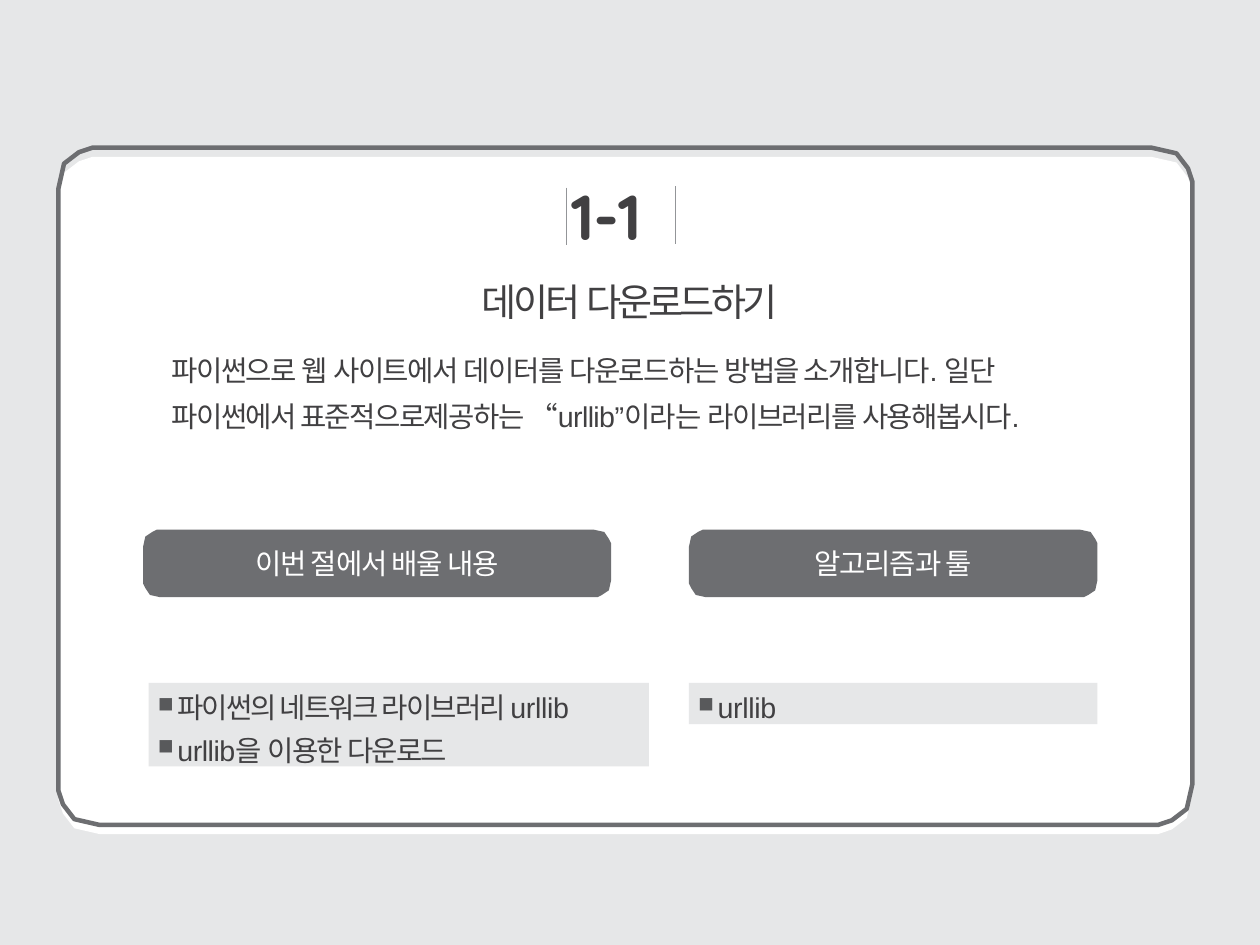
from dataclasses import dataclass

from lxml import etree
from pptx import Presentation
from pptx.dml.color import RGBColor
from pptx.enum.shapes import MSO_CONNECTOR, MSO_SHAPE
from pptx.enum.text import MSO_ANCHOR, MSO_AUTO_SIZE, PP_ALIGN
from pptx.oxml.ns import qn
from pptx.util import Pt

PX = 9144
RECTANGLE = MSO_SHAPE.RECTANGLE
STRAIGHT = MSO_CONNECTOR.STRAIGHT
LEFT, CENTER = PP_ALIGN.LEFT, PP_ALIGN.CENTER
TOP, MIDDLE = MSO_ANCHOR.TOP, MSO_ANCHOR.MIDDLE
NO_AUTOFIT = MSO_AUTO_SIZE.NONE

PALE, WHITE, SLATE = "E6E7E8", "FFFFFF", "6D6E71"
INK, BULLET, RULE = "414042", "58595B", "939598"
CORNER = ((1, 0), (0.83, 0), (0.5, 0.11), (0.14, 0.39), (0, 1))


@dataclass(frozen=True)
class Box:
    left: int
    top: int
    width: int
    height: int

    def emu(self) -> tuple:
        return tuple(value * PX for value in (self.left, self.top, self.width, self.height))


@dataclass(frozen=True)
class Run:
    text: str
    spacing: int


@dataclass(frozen=True)
class Style:
    font: str
    size: int
    color: str = INK
    bold: bool = False
    align: PP_ALIGN = LEFT


@dataclass(frozen=True)
class Topic:
    heading: str
    button: Box
    panel: Box
    items: tuple


BODY = Style("Arial", 18)
HEADING = Style("DejaVu Sans Mono", 18, WHITE, align=CENTER)
NUMBER = Style("Quicksand", 40, bold=True)
TITLE = Style("Arial", 24)

CARD = Box(51, 129, 991, 592)
CARD_BACK = Box(51, 137, 991, 592)
DIVIDERS = ((495, 164), (590, 163))
TITLE_RUNS = (Run("데이터 ", -200), Run("다운로드하기", -240))
INTRO_RUNS = (
    Run("파이썬으로 ", -100), Run("웹 ", -70), Run("사이트에서 ", -100),
    Run("데이터를 ", -90), Run("다운로드하는 ", -100),
    Run("방법을 소개합니다. ", -90), Run("일단 ", -80),
    Run("파이썬에서 표준적으로제공하는 ", -100), Run("“urllib”이라는 ", -40),
    Run("라이브러리를 ", -100), Run("사용해봅시다.", -110),
)
TOPICS = (
    Topic("이번 절에서 배울 내용", Box(125, 463, 409, 59), Box(130, 597, 437, 73), (
        (Run("파이썬의 네트워크 라이브러리 ", -120), Run("urllib", -20)),
        (Run("urllib을 ", -30), Run("이용한 ", -110), Run("다운로드", -130)),
    )),
    Topic("알고리즘과 툴", Box(602, 463, 357, 59), Box(602, 597, 357, 36), (
        (Run("urllib", -20),),
    )),
)


def rgb(color: str) -> RGBColor:
    """Turn a hex string into a colour."""
    return RGBColor.from_string(color)


def paint(shape, fill: str = "", line: str = "", width: float = 0) -> None:
    """Set the fill and outline of a shape and drop its shadow."""
    shape.shadow.inherit = False
    if fill:
        shape.fill.solid()
        shape.fill.fore_color.rgb = rgb(fill)
    else:
        shape.fill.background()
    if line:
        shape.line.color.rgb = rgb(line)
        shape.line.width = Pt(width)
    else:
        shape.line.fill.background()


def add_soft_panel(slide, box: Box, radius: int):
    """Draw a panel whose faceted corner turns by a quarter at each angle."""
    right, bottom = box.left + box.width, box.top + box.height
    corner = [(round(x * radius), round(y * radius)) for x, y in CORNER]
    outline = [(box.left + x, box.top + y) for x, y in corner]
    outline += [(box.left + y, bottom - x) for x, y in corner]
    outline += [(right - x, bottom - y) for x, y in corner]
    outline += [(right - y, box.top + x) for x, y in corner]
    builder = slide.shapes.build_freeform(*outline[0], scale=PX)
    builder.add_line_segments(outline[1:], close=True)
    return builder.convert_to_shape()


def set_frame(shape, anchor: MSO_ANCHOR = TOP, inset_top: int = 0):
    """Wrap the text of a shape without side margins."""
    frame = shape.text_frame
    frame.word_wrap = True
    frame.auto_size = NO_AUTOFIT
    frame.vertical_anchor = anchor
    frame.margin_left = frame.margin_right = frame.margin_bottom = 0
    frame.margin_top = inset_top * PX
    return frame


def write(paragraph, runs: tuple, style: Style) -> None:
    """Fill a paragraph with spaced runs in one style."""
    paragraph.alignment = style.align
    font = paragraph.font
    font.name, font.size, font.bold = style.font, Pt(style.size), style.bold
    font.color.rgb = rgb(style.color)
    for part in runs:
        run = paragraph.add_run()
        run.text = part.text
        run.font._element.set("spc", str(part.spacing))


def add_bullet(paragraph) -> None:
    """Give a paragraph a small square bullet and a hanging indent."""
    properties = paragraph._p.get_or_add_pPr()
    properties.set("marL", str(25 * PX))
    properties.set("indent", str(-17 * PX))
    color = etree.SubElement(properties, qn("a:buClr"))
    etree.SubElement(color, qn("a:srgbClr"), val=BULLET)
    etree.SubElement(properties, qn("a:buSzPct"), val="75000")
    etree.SubElement(properties, qn("a:buChar"), char="■")


def add_text(slide, box: Box, runs: tuple, style: Style):
    """Place a text box and return its paragraph."""
    paragraph = set_frame(slide.shapes.add_textbox(*box.emu())).paragraphs[0]
    write(paragraph, runs, style)
    return paragraph


def add_divider(slide, x: int, top: int) -> None:
    """Draw a thin upright rule beside the section number."""
    divider = slide.shapes.add_connector(STRAIGHT, x * PX, top * PX, x * PX, (top + 50) * PX)
    divider.line.color.rgb = rgb(RULE)
    divider.line.width = Pt(0.5)
    etree.SubElement(divider.element.spPr, qn("a:effectLst"))


def add_topic(slide, topic: Topic) -> None:
    """Draw a heading button and the bulleted panel below it."""
    button = add_soft_panel(slide, topic.button, 15)
    paint(button, fill=SLATE)
    heading = set_frame(button, MIDDLE).paragraphs[0]
    write(heading, (Run(topic.heading, -70),), HEADING)
    panel = slide.shapes.add_shape(RECTANGLE, *topic.panel.emu())
    paint(panel, fill=PALE)
    frame = set_frame(panel, inset_top=6)
    for index, runs in enumerate(topic.items):
        item = frame.add_paragraph() if index else frame.paragraphs[0]
        add_bullet(item)
        if index:
            item.space_before = Pt(5.4)
        write(item, runs, BODY)


def main() -> None:
    """Build the section opener and save it."""
    deck = Presentation()
    deck.slide_width, deck.slide_height = 1101 * PX, 826 * PX
    slide = deck.slides.add_slide(deck.slide_layouts[5])
    slide.background.fill.solid()
    slide.background.fill.fore_color.rgb = rgb(PALE)
    paint(add_soft_panel(slide, CARD_BACK, 36), fill=WHITE)
    paint(add_soft_panel(slide, CARD, 36), line=SLATE, width=2.83)
    for x, top in DIVIDERS:
        add_divider(slide, x, top)
    add_text(slide, Box(499, 155, 87, 68), (Run("1-1", -40),), NUMBER)
    title = slide.shapes.title
    title.left, title.top, title.width, title.height = Box(421, 243, 329, 40).emu()
    write(set_frame(title).paragraphs[0], TITLE_RUNS, TITLE)
    slide.shapes.element.append(title.element)
    for topic in TOPICS:
        add_topic(slide, topic)
    add_text(slide, Box(150, 298, 800, 77), INTRO_RUNS, BODY).line_spacing = 1.35
    deck.save("out.pptx")


if __name__ == "__main__":
    main()
